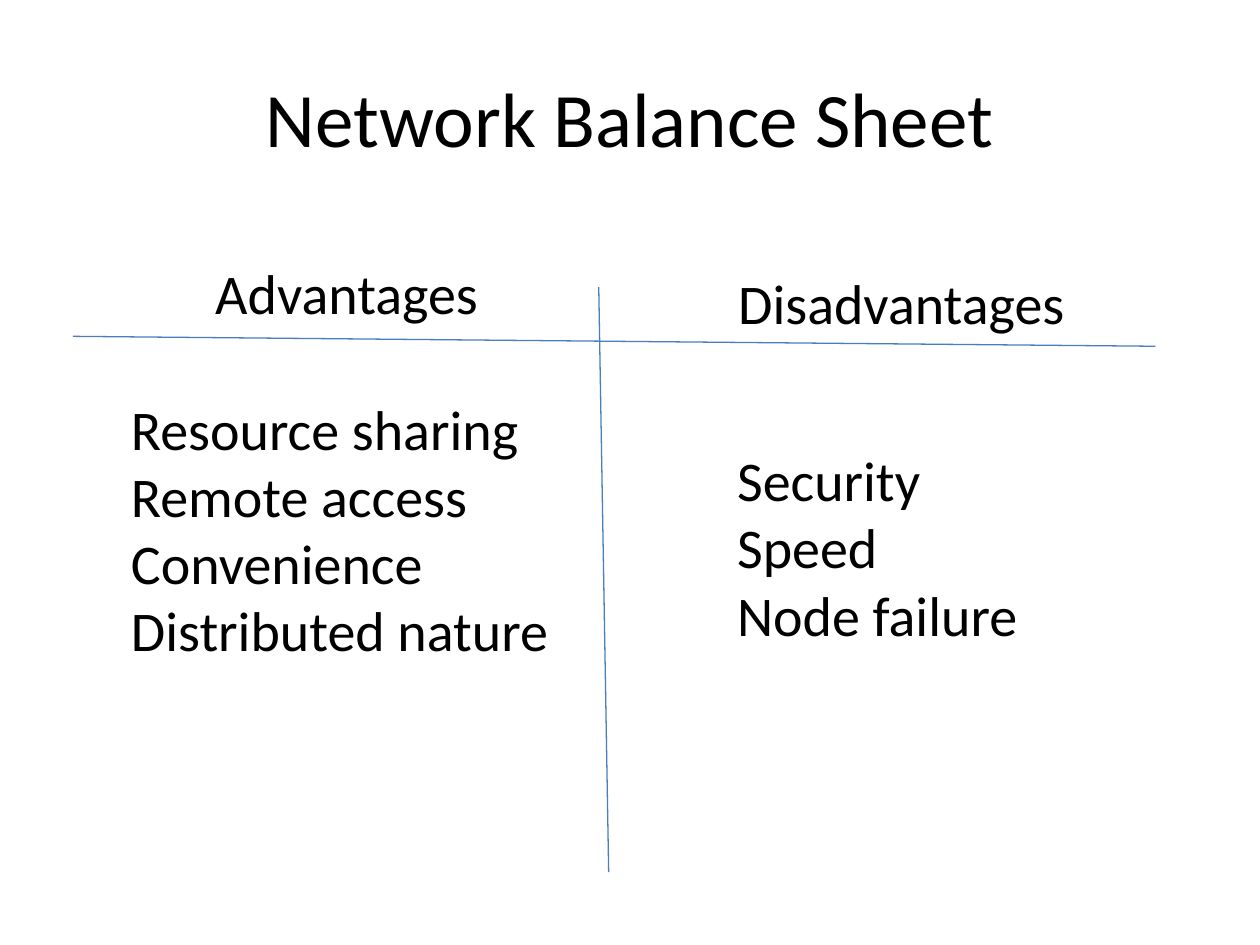
"""Build the Network Balance Sheet slide: advantages against disadvantages."""
from typing import NamedTuple

from lxml import etree
from pptx import Presentation
from pptx import util as u
from pptx.dml.color import RGBColor
from pptx.enum import shapes, text
from pptx.oxml import ns

COLOURS = {"text": "000000", "rule": "4B7EBC"}


class TextBlock(NamedTuple):
    left: float
    top: float
    width: float
    height: float
    lines: tuple[str, ...]


class Rule(NamedTuple):
    x1: float
    y1: float
    x2: float
    y2: float


BLOCKS = (
    TextBlock(4.09, 5.08, 5.87, 1.63, ("Advantages",)),
    TextBlock(14.63, 5.28, 7.16, 1.63, ("Disadvantages",)),
    TextBlock(2.39, 7.82, 9.02, 5.74,
              ("Resource sharing", "Remote access", "Convenience", "Distributed nature")),
    TextBlock(14.61, 8.86, 6.22, 4.37, ("Security", "Speed", "Node failure")),
)
RULES = (Rule(1.47, 6.78, 23.29, 6.98), Rule(12.07, 5.79, 12.27, 17.58))


def apply(target, values: dict) -> None:
    for name, value in values.items():
        setattr(target, name, value)


def write(frame, lines: tuple[str, ...], size: int, align) -> None:
    for index, line in enumerate(lines):
        para = frame.paragraphs[0] if index == 0 else frame.add_paragraph()
        para.alignment = align
        span = para.add_run()
        span.text = line
        apply(span.font, {"name": "Calibri", "size": u.Pt(size)})
        span.font.color.rgb = RGBColor.from_string(COLOURS["text"])


def draw_title(page, title: str) -> None:
    box = page.shapes.title
    apply(box, {"left": u.Cm(1.27), "top": u.Cm(0.76),
                "width": u.Cm(22.86), "height": u.Cm(3.18)})
    box.text_frame.vertical_anchor = text.MSO_ANCHOR.MIDDLE
    write(box.text_frame, (title,), 44, text.PP_ALIGN.CENTER)


def draw_block(page, block: TextBlock) -> None:
    box = page.shapes.add_textbox(*(u.Cm(length) for length in block[:4]))
    apply(box.text_frame, {"word_wrap": False,
                           "auto_size": text.MSO_AUTO_SIZE.SHAPE_TO_FIT_TEXT})
    write(box.text_frame, block.lines, 32, text.PP_ALIGN.LEFT)


def draw_rule(page, rule: Rule) -> None:
    line = page.shapes.add_connector(
        shapes.MSO_CONNECTOR.STRAIGHT, *(u.Cm(length) for length in rule))
    line.line.width = u.Pt(0.75)
    line.line.color.rgb = RGBColor.from_string(COLOURS["rule"])
    etree.SubElement(line._element.spPr, ns.qn("a:effectLst"))


def main() -> None:
    deck = Presentation()
    apply(deck, {"slide_width": u.Cm(25.4), "slide_height": u.Cm(19.05)})
    page = deck.slides.add_slide(deck.slide_layouts[5])
    draw_title(page, "Network Balance Sheet")
    for rule in RULES:
        draw_rule(page, rule)
    for block in BLOCKS:
        draw_block(page, block)
    deck.save("out.pptx")


if __name__ == "__main__":
    main()
